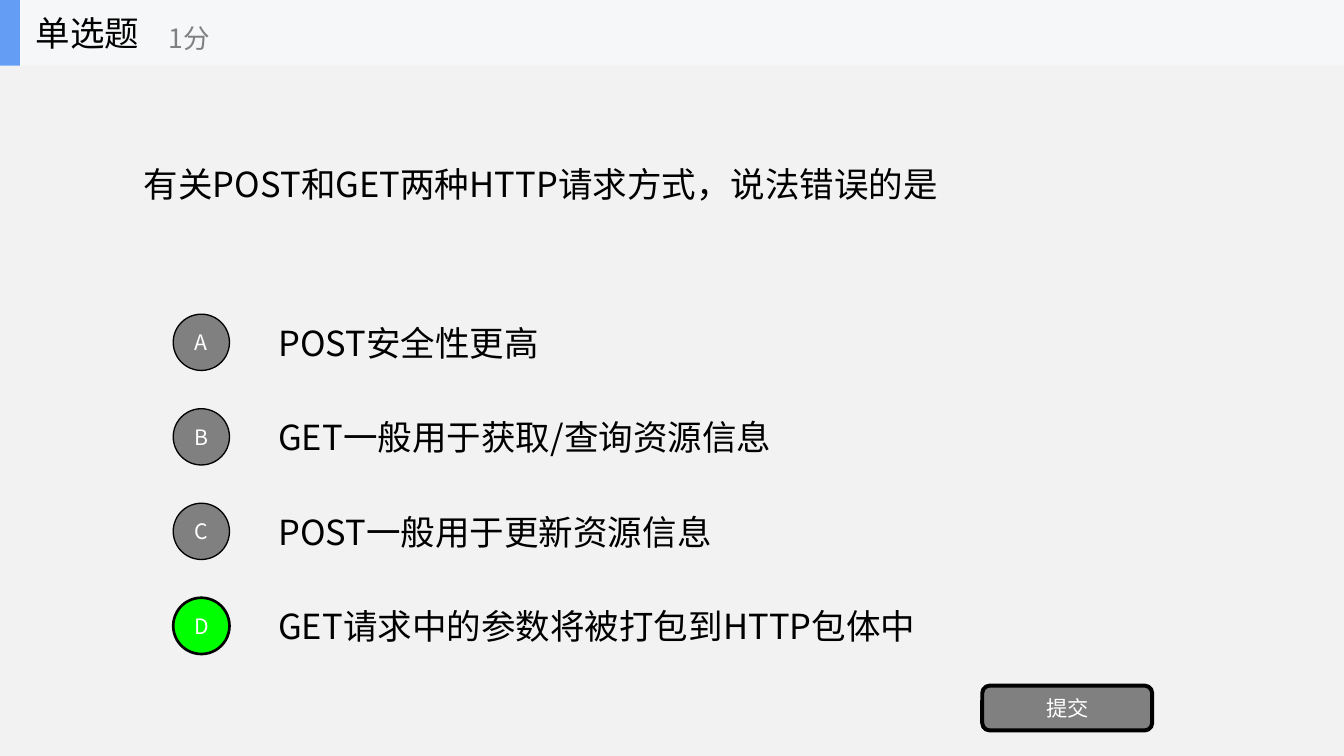
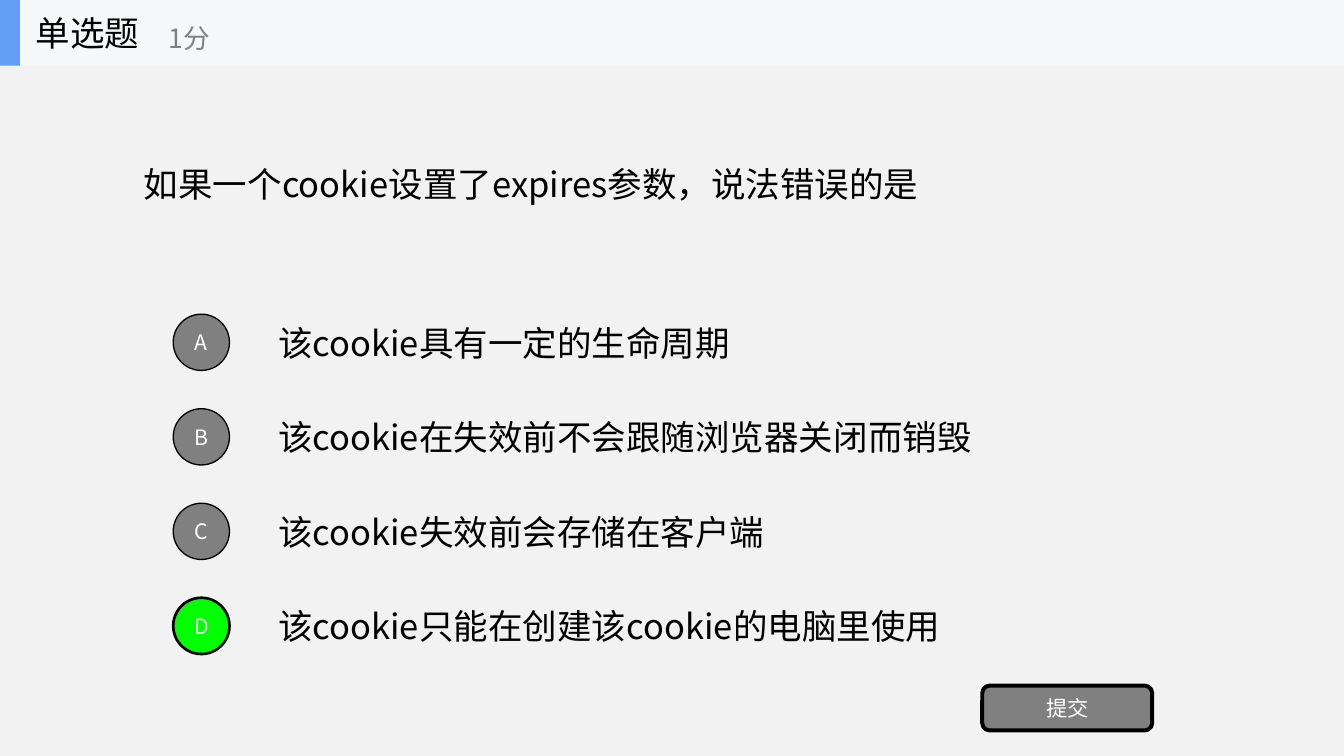
"""Build two single-choice quiz slides with a shared header, options and submit button."""
import pptx
import pptx.dml.color
import pptx.enum.shapes
import pptx.enum.text
import pptx.oxml.ns
import pptx.util
from lxml import etree

Pt = pptx.util.Pt
PRESET = pptx.enum.shapes.MSO_SHAPE
ALIGN = pptx.enum.text.PP_ALIGN

FONT = "Noto Sans CJK SC"
COLORS = {
    "page": "F2F2F2",
    "band": "F6F7F8",
    "accent": "639EF4",
    "text": "000000",
    "muted": "808080",
    "correct": "00FF00",
    "light": "FFFFFF",
}
SLIDE_W, SLIDE_H = 1012.5, 569.5
BAND_H = 49.5
OPTION_TOP, OPTION_STEP, OPTION_H = 231.2, 71.2, 53.4
BADGE = 42.4

QUESTIONS = [
    (
        "有关POST和GET两种HTTP请求方式，说法错误的是",
        [
            "POST安全性更高",
            "GET一般用于获取/查询资源信息",
            "POST一般用于更新资源信息",
            "GET请求中的参数将被打包到HTTP包体中",
        ],
        "D",
    ),
    (
        "如果一个cookie设置了expires参数，说法错误的是",
        [
            "该cookie具有一定的生命周期",
            "该cookie在失效前不会跟随浏览器关闭而销毁",
            "该cookie失效前会存储在客户端",
            "该cookie只能在创建该cookie的电脑里使用",
        ],
        "D",
    ),
]


def rgb(name):
    return pptx.dml.color.RGBColor.from_string(COLORS[name])


def write(frame, text, size, color, align=ALIGN.LEFT):
    frame.text = text
    frame.word_wrap = True
    frame.vertical_anchor = pptx.enum.text.MSO_ANCHOR.MIDDLE
    paragraph = frame.paragraphs[0]
    paragraph.alignment = align
    font = paragraph.runs[0].font
    font.size = Pt(size)
    font.name = FONT
    font.color.rgb = rgb(color)
    properties = paragraph.runs[0]._r.get_or_add_rPr()
    etree.SubElement(properties, pptx.oxml.ns.qn("a:ea"), typeface=FONT)


def add_label(shapes, box, text, size=26, color="text"):
    label = shapes.add_textbox(*map(Pt, box))
    write(label.text_frame, text, size, color)


def add_block(shapes, preset, box, fill, line_width=0):
    block = shapes.add_shape(preset, *map(Pt, box))
    block.shadow.inherit = False
    block.fill.solid()
    block.fill.fore_color.rgb = rgb(fill)
    if line_width:
        block.line.color.rgb = rgb("text")
        block.line.width = Pt(line_width)
    else:
        block.line.fill.background()
    return block


def add_button(shapes, preset, box, text, fill, line_width):
    frame = add_block(shapes, preset, box, fill, line_width).text_frame
    frame.margin_left = frame.margin_right = 0
    frame.margin_top = frame.margin_bottom = 0
    write(frame, text, 16, "light", ALIGN.CENTER)


def add_options(shapes, options, answer):
    rows = [OPTION_TOP + i * OPTION_STEP for i in range(len(options))]
    for top, option in zip(rows, options):
        add_label(shapes, (202.5, top, 708.75, OPTION_H), option)
    for top, letter in zip(rows, "ABCD"):
        fill, line_width = ("correct", 2) if letter == answer else ("muted", 1)
        box = (130.5, top + (OPTION_H - BADGE) / 2, BADGE, BADGE)
        add_button(shapes, PRESET.OVAL, box, letter, fill, line_width)


def add_header(shapes):
    header = shapes.add_group_shape().shapes
    add_block(header, PRESET.RECTANGLE, (0, 0, SLIDE_W, BAND_H), "band")
    add_block(header, PRESET.RECTANGLE, (0, 0, 15, BAND_H), "accent")
    add_label(header, (20, 0, 150, BAND_H), "单选题")
    add_label(header, (120, 8.5, 180, 40.5), "1分", 20, "muted")


def add_question(deck, question, options, answer):
    shapes = deck.slides.add_slide(deck.slide_layouts[6]).shapes
    add_label(shapes, (101.25, BAND_H, 810, 178), question)
    add_options(shapes, options, answer)
    add_button(shapes, PRESET.ROUNDED_RECTANGLE, (740, 516.5, 128, 33.75), "提交", "muted", 3)
    add_header(shapes)


def main():
    deck = pptx.Presentation()
    deck.slide_width, deck.slide_height = Pt(SLIDE_W), Pt(SLIDE_H)
    page = deck.slide_master.background.fill
    page.solid()
    page.fore_color.rgb = rgb("page")
    for question, options, answer in QUESTIONS:
        add_question(deck, question, options, answer)
    deck.save("out.pptx")


if __name__ == "__main__":
    main()
